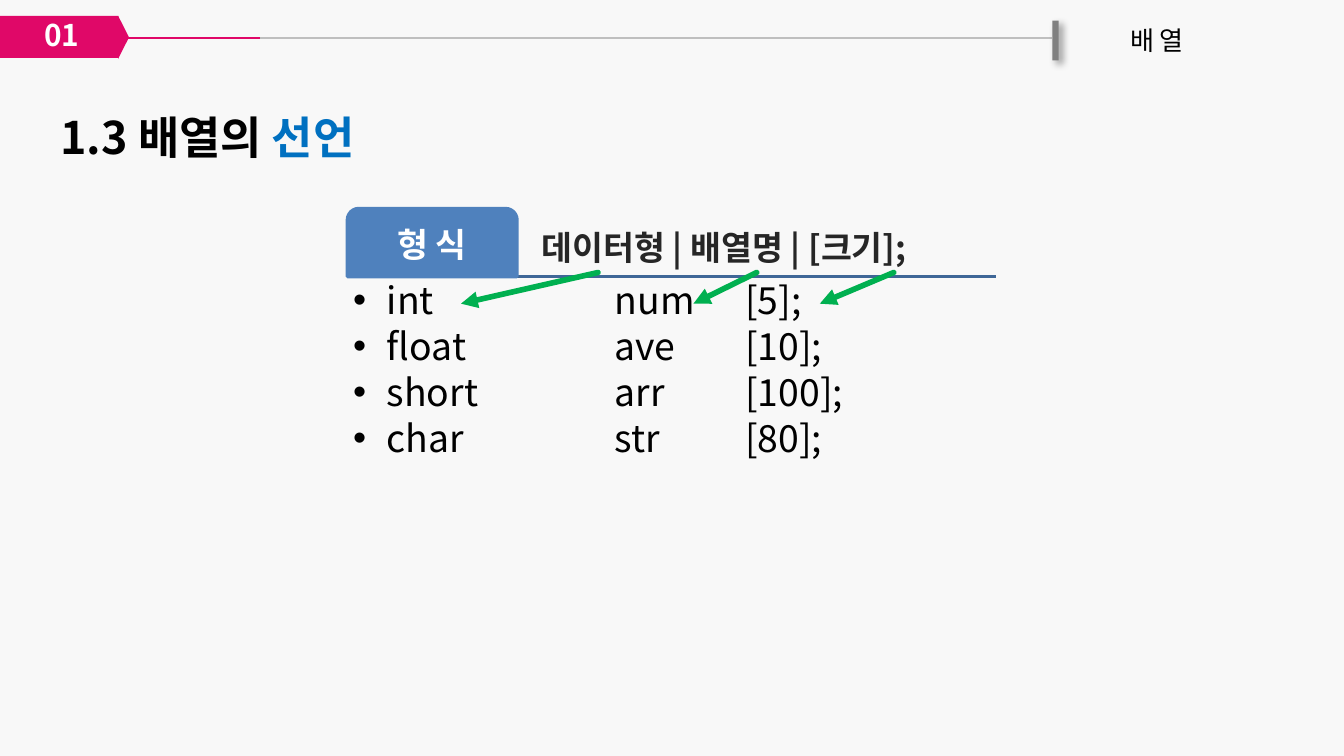
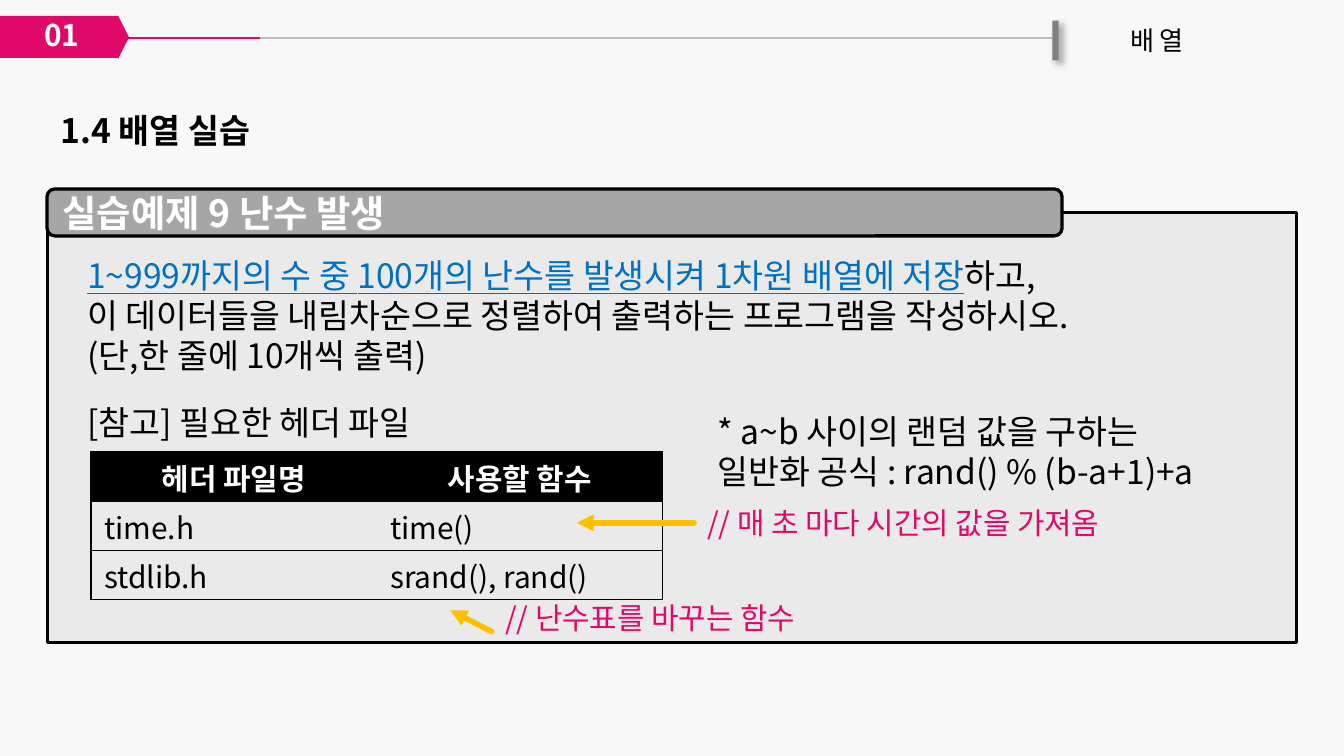
from pptx import Presentation
from pptx.dml.color import RGBColor
from pptx.enum.shapes import MSO_CONNECTOR, MSO_SHAPE
from pptx.enum.text import MSO_ANCHOR as ANCHOR, MSO_AUTO_SIZE, PP_ALIGN as ALIGN
from pptx.oxml.ns import qn
from pptx.util import Pt
from lxml.etree import SubElement

FONT = "Noto Sans CJK KR"
LINE = 1.19  # line height as a share of the text size
COLORS = {
    "paper": "F8F8F8", "pink": "E00868", "rule": "BFBFBF", "bar": "808080",
    "black": "000000", "white": "FFFFFF", "blue": "0070C0", "ink": "262626",
    "tab": "4F81BD", "tab_rule": "3F6797", "green": "00B050",
    "panel": "EAEAEA", "banner": "A6A6A6", "amber": "FFC000",
}

CHAPTER = ("01", "배 열")

DECLARE_TITLE = [("1.3 배열의 ", {}), ("선언", {"color": "blue"})]
SYNTAX_LABEL = "형 식"
SYNTAX = "데이터형 | 배열명 | [크기];"
DECLARATIONS = [
    ("int", "num", "[5];"),
    ("float", "ave", "[10];"),
    ("short", "arr", "[100];"),
    ("char", "str", "[80];"),
]
SYNTAX_ARROWS = [(320.4, 247), (405.4, 371.5), (478.8, 439.2)]  # from x, to x

PRACTICE_TITLE = "1.4 배열 실습"
EXERCISE_NAME = "실습예제 9 난수 발생"
EXERCISE = [
    [("1~999까지의 수 중 100개의 난수를 발생시켜 1차원 배열에 저장",
      {"color": "blue", "underline": True}), ("하고,", {})],
    "이 데이터들을 내림차순으로 정렬하여 출력하는 프로그램을 작성하시오.",
    "(단,한 줄에 10개씩 출력)",
    "[참고] 필요한 헤더 파일",
]
HEADERS = [
    ("헤더 파일명", "사용할 함수"),
    ("time.h", "time()"),
    ("stdlib.h", "srand(), rand()"),
]
FORMULA = ["* a~b 사이의 랜덤 값을 구하는", "일반화 공식 : rand() % (b-a+1)+a"]
TIME_NOTE = "// 매 초 마다 시간의 값을 가져옴"
SEED_NOTE = "// 난수표를 바꾸는 함수"


def rgb(name):
    return RGBColor.from_string(COLORS[name])


def format_run(r, size, color="black", bold=False, underline=False):
    f = r.font
    f.size, f.bold, f.underline, f.name = Pt(size), bold, underline, FONT
    f.color.rgb = rgb(color)
    SubElement(r._r.rPr, qn("a:ea"), typeface=FONT)


def write(tf, paragraphs, size, align=ALIGN.LEFT, anchor=ANCHOR.TOP,
          margins=(7.2, 3.6, 7.2, 3.6), spacing=LINE, **style):
    """Fill a frame; a paragraph is a string or a list of (text, style) runs."""
    tf.word_wrap, tf.auto_size = True, MSO_AUTO_SIZE.NONE
    tf.vertical_anchor = anchor
    tf.margin_left, tf.margin_top, tf.margin_right, tf.margin_bottom = map(Pt, margins)
    for i, runs in enumerate(paragraphs):
        p = tf.add_paragraph() if i else tf.paragraphs[0]
        p.alignment, p.space_before = align, Pt(0)
        p.line_spacing = Pt(size * spacing)
        for text, own in [(runs, {})] if isinstance(runs, str) else runs:
            r = p.add_run()
            r.text = text
            format_run(r, size, **{**style, **own})


def place(sp, rect):
    sp.left, sp.top, sp.width, sp.height = map(Pt, rect)


def add_text(slide, rect, paragraphs, size, **style):
    sp = slide.shapes.add_textbox(*map(Pt, rect))
    write(sp.text_frame, paragraphs, size, **style)
    return sp


def add_box(slide, kind, rect, fill, line=None, width=1.75):
    sp = slide.shapes.add_shape(kind, *map(Pt, rect))
    sp.shadow.inherit = False
    sp.fill.solid()
    sp.fill.fore_color.rgb = rgb(fill)
    if line:
        sp.line.color.rgb, sp.line.width = rgb(line), Pt(width)
    else:
        sp.line.fill.background()
    return sp


def add_line(slide, start, end, color, width=1, arrow=False):
    cx = slide.shapes.add_connector(MSO_CONNECTOR.STRAIGHT, *map(Pt, start + end))
    cx.line.color.rgb, cx.line.width = rgb(color), Pt(width)
    if arrow:
        ln = cx.line._get_or_add_ln()
        ln.set("cap", "rnd")
        SubElement(ln, qn("a:tailEnd"), type="triangle")
    SubElement(cx._element.spPr, qn("a:effectLst"))
    return cx


def add_shadow(sp):
    effects = sp._element.spPr.find(qn("a:effectLst"))
    shadow = SubElement(effects, qn("a:outerShdw"), blurRad=str(Pt(4)),
                        dist=str(Pt(3)), dir="2700000")
    black = SubElement(shadow, qn("a:srgbClr"), val=COLORS["black"])
    SubElement(black, qn("a:alpha"), val="40000")


def new_slide(prs, layout, title, size, title_rect):
    """Add a slide with its title and the chapter band."""
    slide = prs.slides.add_slide(prs.slide_layouts[layout])
    number, chapter = CHAPTER
    add_line(slide, (25.2, 20.3), (563.8, 20.3), "rule")
    add_box(slide, MSO_SHAPE.RECTANGLE, (-0.7, 8.6, 64.1, 22.5), "pink")
    add_shadow(add_box(slide, MSO_SHAPE.RECTANGLE, (563.8, 11, 3.4, 21.4), "bar"))
    add_line(slide, (66.2, 20.3), (139.5, 20.3), "pink")
    tip = add_box(slide, MSO_SHAPE.ISOSCELES_TRIANGLE, (54.7, 17.1, 23, 5.8), "pink")
    tip.rotation = 90
    add_text(slide, (16.6, 5.8, 36, 26.6), [number], 16, color="white", bold=True)
    add_text(slide, (598.3, 9.4, 47.5, 24.5), [chapter], 14)
    place(slide.shapes.title, title_rect)
    write(slide.shapes.title.text_frame, [title], size, bold=True)
    return slide


def bullet_and_tabs(p, indent, stops):
    pPr = p._p.get_or_add_pPr()
    pPr.set("marL", str(Pt(indent)))
    pPr.set("indent", str(-Pt(indent)))
    SubElement(pPr, qn("a:buFont"), typeface="Arial")
    SubElement(pPr, qn("a:buChar"), char="•")
    tabs = SubElement(pPr, qn("a:tabLst"))
    for stop in stops:
        SubElement(tabs, qn("a:tab"), pos=str(Pt(stop)), algn="l")


def set_borders(cell, visible):
    """Draw the sides named in visible (from L, R, T, B) and clear the others."""
    tcPr = cell._tc.get_or_add_tcPr()
    for i, side in enumerate("LRTB"):
        ln = SubElement(tcPr, qn(f"a:ln{side}"), w=str(Pt(0.75)))
        tcPr.insert(i, ln)
        if side in visible:
            fill = SubElement(ln, qn("a:solidFill"))
            SubElement(fill, qn("a:srgbClr"), val=COLORS["black"])
        else:
            SubElement(ln, qn("a:noFill"))


def add_header_table(slide, left, top, col_width, row_height):
    rows, cols = len(HEADERS), len(HEADERS[0])
    table = slide.shapes.add_table(rows, cols, Pt(left), Pt(top), Pt(col_width * cols),
                                   Pt(row_height * rows)).table
    table.first_row = table.horz_banding = False
    for col in table.columns:
        col.width = Pt(col_width)
    for i, names in enumerate(HEADERS):
        table.rows[i].height = Pt(row_height)
        for j, name in enumerate(names):
            cell = table.cell(i, j)
            cell.margin_top, cell.margin_bottom = Pt(6), Pt(1)
            p = cell.text_frame.paragraphs[0]
            p.text = name
            p.line_spacing = Pt(16 * LINE)
            if i == 0:
                p.alignment = ALIGN.CENTER
                cell.fill.solid()
                cell.fill.fore_color.rgb = rgb("black")
                format_run(p.runs[0], 16, "white", bold=True)
            else:
                cell.fill.background()
                format_run(p.runs[0], 16)
            set_borders(cell, "TB" + ("L" if j == 0 else "R"))


def declaration_slide(prs):
    slide = new_slide(prs, 1, DECLARE_TITLE, 24, (25.2, 55.4, 187.2, 36))
    left, top, base, right = 186.2, 111.8, 148.1, 533.7
    add_line(slide, (left, base), (right, base), "tab_rule", 2)
    add_text(slide, (276.5, top, right - 276.5, base - top), [SYNTAX], 18,
             anchor=ANCHOR.BOTTOM, margins=(13.6, 3.6, 3.6, 4.8),
             spacing=LINE * 0.9, color="ink", bold=True)
    tab = add_box(slide, MSO_SHAPE.ROUND_2_SAME_RECTANGLE,
                  (left, top, 90.7, base - top), "tab", "tab", 2)
    write(tab.text_frame, [SYNTAX_LABEL], 18, align=ALIGN.CENTER, anchor=ANCHOR.MIDDLE,
          margins=(3, 5, 3, 3), spacing=LINE * 0.9, color="white", bold=True)

    body = slide.placeholders[1]
    place(body, (left, base, right - left, 144.7))
    write(body.text_frame, [f"{kind}\t\t{name}\t{size}" for kind, name, size in DECLARATIONS],
          20, margins=(3, 3, 3, 3), spacing=LINE * 0.9)
    for p in body.text_frame.paragraphs:
        p.space_after = Pt(3.2)
        bullet_and_tabs(p, 18, (70, 140, 210))
    for x1, x2 in SYNTAX_ARROWS:
        add_line(slide, (x1, 146), (x2, 162.7), "green", 3, arrow=True)


def practice_slide(prs):
    slide = new_slide(prs, 5, PRACTICE_TITLE, 18, (25.2, 55.4, 126, 28.8))
    add_box(slide, MSO_SHAPE.RECTANGLE, (25.6, 113.8, 669, 230.4), "panel", "black")
    banner = add_box(slide, MSO_SHAPE.ROUNDED_RECTANGLE, (25.2, 101.2, 543.8, 25.2),
                     "banner", "black")
    write(banner.text_frame, [EXERCISE_NAME], 20, anchor=ANCHOR.MIDDLE,
          color="white", bold=True)
    task = add_text(slide, (39.6, 133.2, 638, 131), EXERCISE, 18, align=ALIGN.JUSTIFY)
    task.text_frame.paragraphs[-1].space_before = Pt(14.4)
    add_header_table(slide, 48.7, 242.2, 153.2, 26.4)

    time_note = add_text(slide, (371.8, 266.8, 255.6, 26.6), [TIME_NOTE], 16, color="pink")
    arrow = add_line(slide, (371.8, 280.1), (309, 280.1), "amber", 3, arrow=True)
    arrow.begin_connect(time_note, 1)
    add_line(slide, (263.5, 338.4), (241.2, 327), "amber", 3, arrow=True)
    add_text(slide, (263.5, 317.7, 190, 26.6), [SEED_NOTE], 16, color="pink")
    add_text(slide, (377.3, 216.7, 294.5, 51), FORMULA, 18)


def main():
    prs = Presentation()
    prs.slide_width, prs.slide_height = Pt(720), Pt(405)
    background = prs.slide_master.background.fill
    background.solid()
    background.fore_color.rgb = rgb("paper")
    declaration_slide(prs)
    practice_slide(prs)
    prs.save("out.pptx")


if __name__ == "__main__":
    main()
